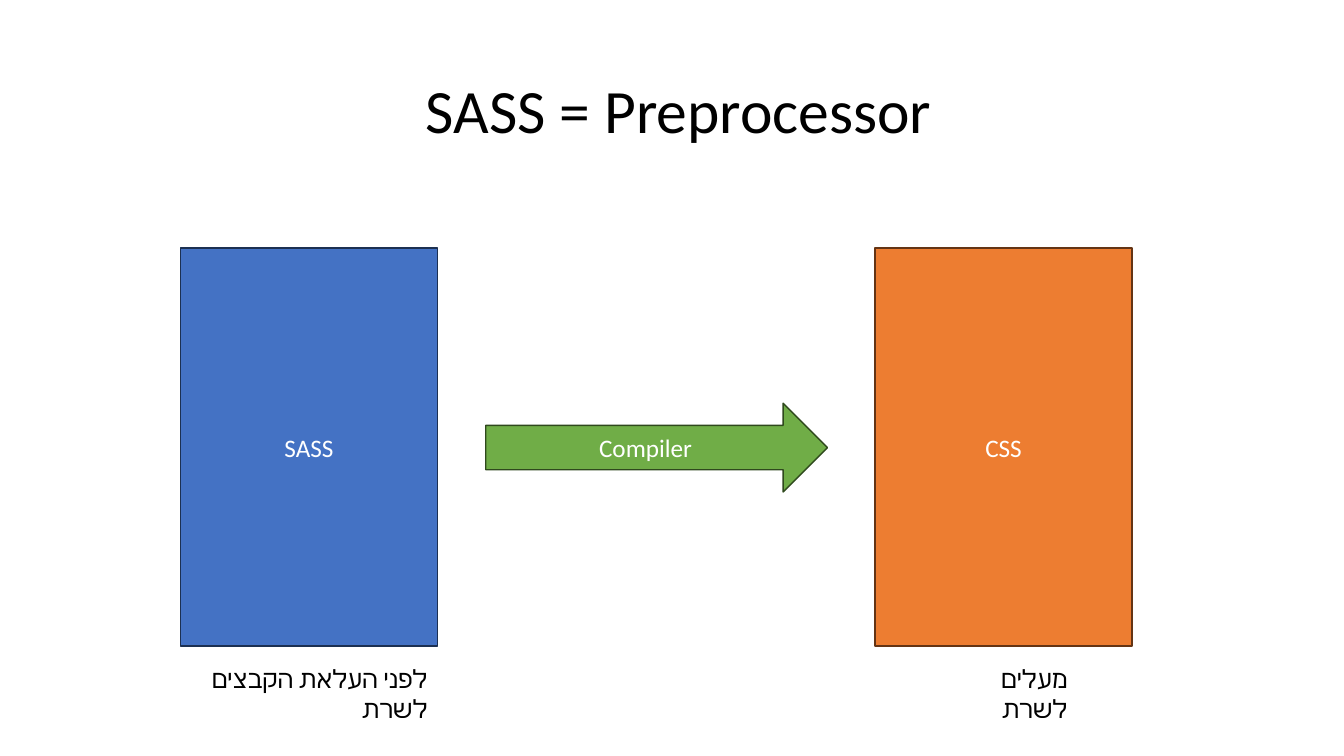
from lxml import etree
from pptx import Presentation
from pptx.dml.color import RGBColor
from pptx.enum.shapes import MSO_SHAPE as SHAPE
from pptx.enum.text import MSO_ANCHOR as ANCHOR, MSO_AUTO_SIZE as AUTO_SIZE, PP_ALIGN as ALIGN
from pptx.oxml.ns import qn
from pptx.util import Pt

FONT = "Calibri"
BLACK = RGBColor(0x00, 0x00, 0x00)
WHITE = RGBColor(0xFF, 0xFF, 0xFF)
BLUE = RGBColor(0x44, 0x72, 0xC4)
DARK_BLUE = RGBColor(0x1C, 0x30, 0x52)
GREEN = RGBColor(0x70, 0xAD, 0x47)
DARK_GREEN = RGBColor(0x2F, 0x49, 0x1D)
ORANGE = RGBColor(0xED, 0x7D, 0x31)
DARK_ORANGE = RGBColor(0x64, 0x34, 0x14)

FILE_TOP, FILE_WIDTH, FILE_HEIGHT = 177.1, 183.6, 284.4
CAPTION_TOP, CAPTION_HEIGHT = 470.2, 28.8


def write_rtl(tf, text, size, color, align):
    """Fill the frame with one right-to-left paragraph."""
    tf.word_wrap = True
    p = tf.paragraphs[0]
    p.alignment = align
    p._p.get_or_add_pPr().set("rtl", "1")
    r = p.add_run()
    r.text = text
    r.font.size = Pt(size)
    r.font.color.rgb = color
    r.font.name = FONT
    etree.SubElement(r._r.get_or_add_rPr(), qn("a:cs"), typeface=FONT)
    return p


def set_title(s, text):
    title = s.shapes.title
    title.left, title.top, title.width, title.height = Pt(66), Pt(28.8), Pt(828), Pt(104.4)
    tf = title.text_frame
    tf.auto_size = AUTO_SIZE.NONE
    tf.vertical_anchor = ANCHOR.MIDDLE
    write_rtl(tf, text, 44, BLACK, ALIGN.CENTER).line_spacing = 0.9


def add_block(s, kind, text, box, fill, line):
    sp = s.shapes.add_shape(kind, *map(Pt, box))
    sp.shadow.inherit = False
    sp.fill.solid()
    sp.fill.fore_color.rgb = fill
    sp.line.color.rgb = line
    sp.line.width = Pt(1)
    sp.text_frame.vertical_anchor = ANCHOR.MIDDLE
    write_rtl(sp.text_frame, text, 18, WHITE, ALIGN.CENTER)


def add_file(s, text, left, fill, line):
    box = (left, FILE_TOP, FILE_WIDTH, FILE_HEIGHT)
    add_block(s, SHAPE.RECTANGLE, text, box, fill, line)


def add_caption(s, text, left, width):
    sp = s.shapes.add_textbox(Pt(left), Pt(CAPTION_TOP), Pt(width), Pt(CAPTION_HEIGHT))
    sp.text_frame.auto_size = AUTO_SIZE.SHAPE_TO_FIT_TEXT
    write_rtl(sp.text_frame, text, 18, BLACK, ALIGN.RIGHT)


def main():
    prs = Presentation()
    prs.slide_width, prs.slide_height = Pt(960), Pt(540)
    s = prs.slides.add_slide(prs.slide_layouts.get_by_name("Title Only"))
    set_title(s, "SASS = Preprocessor ")
    add_file(s, "SASS", 128.9, BLUE, DARK_BLUE)
    add_block(s, SHAPE.RIGHT_ARROW, "Compiler", (347, 288, 244.1, 63.4), GREEN, DARK_GREEN)
    add_file(s, "CSS", 625, ORANGE, DARK_ORANGE)
    add_caption(s, "לפני העלאת הקבצים לשרת", 105.1, 207.4)
    add_caption(s, "מעלים לשרת", 663.8, 105.8)
    prs.save("out.pptx")


if __name__ == "__main__":
    main()
